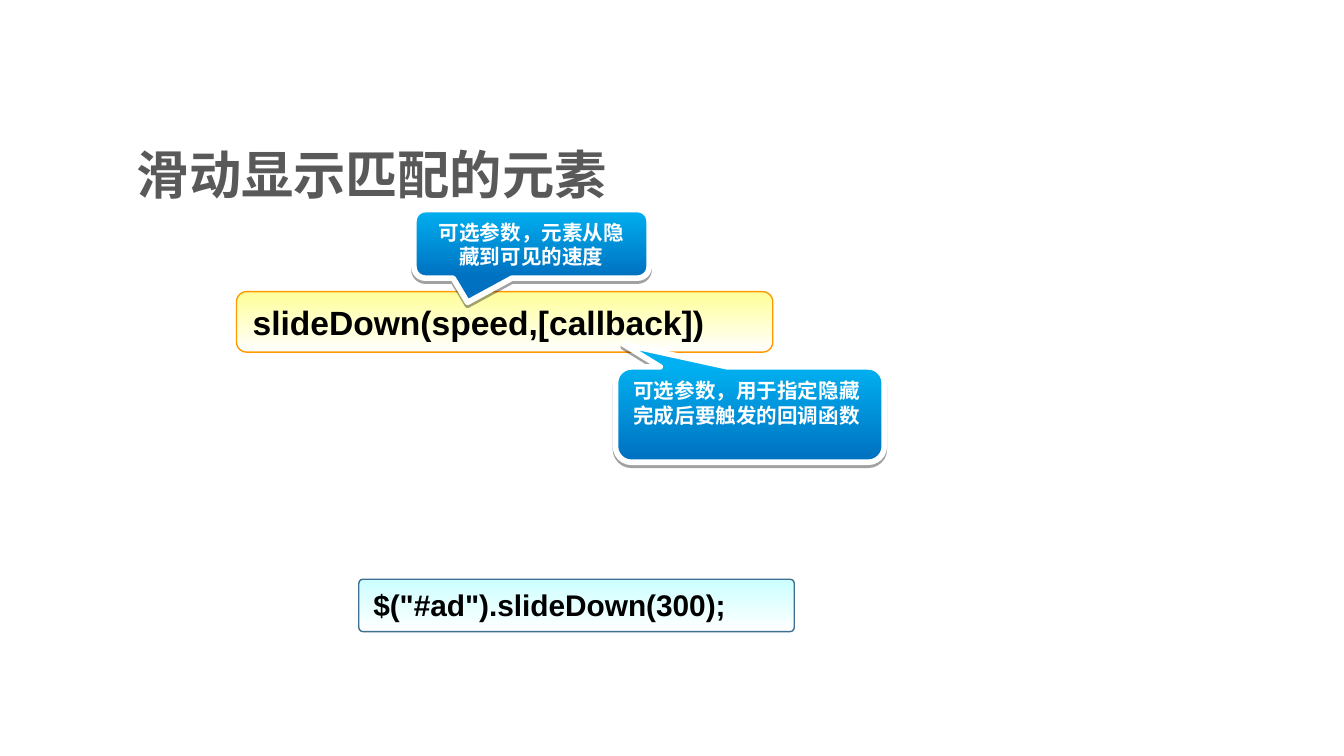
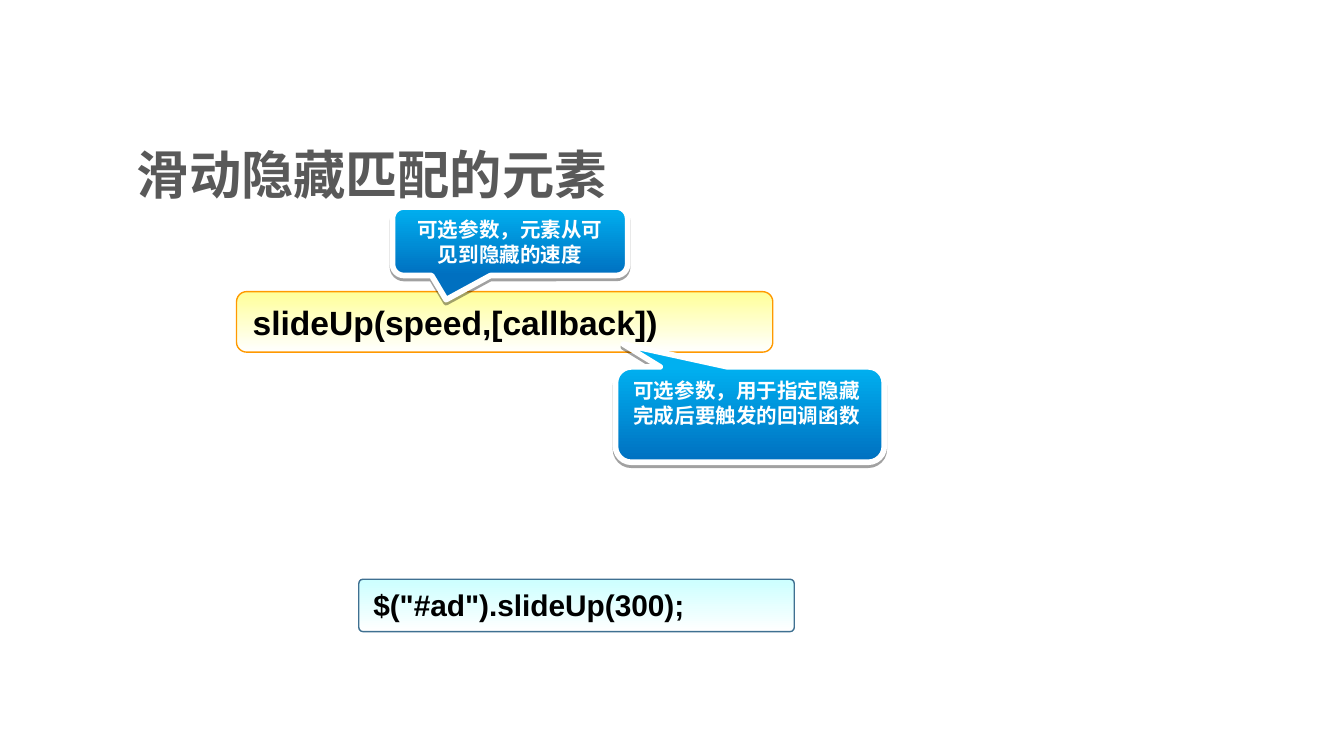
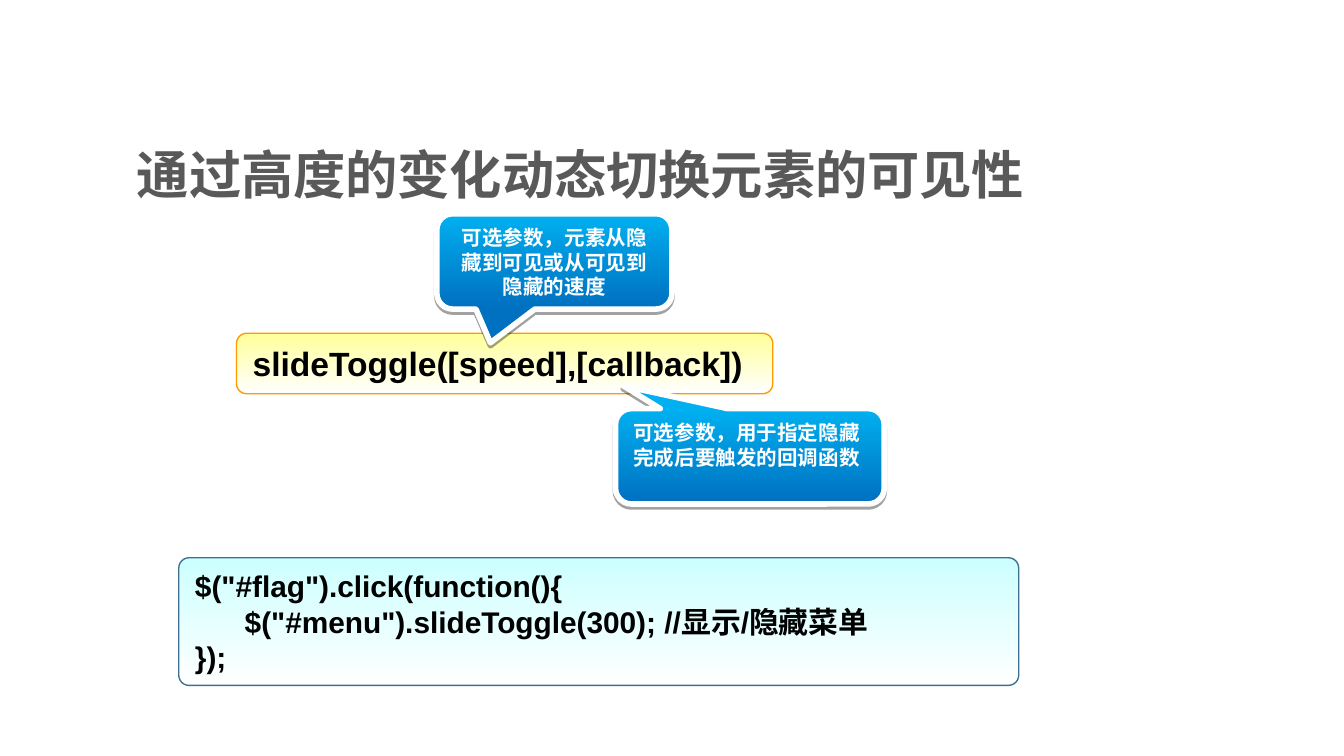
from dataclasses import dataclass

from lxml.etree import SubElement
from pptx import Presentation
from pptx.dml.color import RGBColor
from pptx.enum.shapes import MSO_SHAPE
from pptx.enum.text import MSO_ANCHOR, MSO_AUTO_SIZE, PP_ALIGN
from pptx.oxml.ns import qn
from pptx.util import Inches, Pt


@dataclass(frozen=True)
class Theme:
    latin: str = "Arial"
    chinese: str = "Noto Sans CJK SC"
    title_color: str = "595959"
    code_color: str = "000000"
    note_color: str = "FFFFFF"
    signature_fill: tuple = ("FFFF99", "FFFFFF")
    signature_line: str = "FF9900"
    example_fill: tuple = ("CCFFFF", "FFFFFF")
    example_line: str = "3F7091"
    note_fill: tuple = ("00B0F0", "0070C0")
    note_line: str = "FFFFFF"
    title_size: int = 28
    signature_size: int = 18
    example_size: int = 16
    note_size: int = 11
    thin: float = 0.75
    thick: float = 3


THEME = Theme()
CALLBACK_NOTE = "可选参数，用于指定隐藏完成后要触发的回调函数"
CODE_INDENT = Inches(0.37)


# Text
def write(box, lines, size, color, latin=THEME.latin,
          align=PP_ALIGN.LEFT, anchor=MSO_ANCHOR.TOP):
    """Fill a box with bold lines; a leading tab marks an indented line."""
    frame = box.text_frame
    frame.word_wrap = True
    frame.vertical_anchor = anchor
    for index, line in enumerate(lines):
        para = frame.paragraphs[0] if index == 0 else frame.add_paragraph()
        para.text = line.lstrip("\t")
        para.alignment = align
        para.font.size = Pt(size)
        para.font.bold = True
        para.font.name = latin
        para.font.color.rgb = RGBColor.from_string(color)
        properties = para._p.get_or_add_pPr()
        east_asian = SubElement(properties.get_or_add_defRPr(), qn("a:ea"))
        east_asian.set("typeface", THEME.chinese)
        if line.startswith("\t"):
            properties.set("marL", str(CODE_INDENT))


def add_title(page, title):
    box = page.shapes.add_textbox(
        Inches(0.92), Inches(0.98), Inches(7.17), Inches(0.63))
    write(box, [title], THEME.title_size, THEME.title_color,
          latin=THEME.chinese, anchor=MSO_ANCHOR.MIDDLE)


# Shapes
def add_panel(page, kind, area, adjustments, colors, line, width):
    """Add a shape with a vertical two-colour gradient."""
    panel = page.shapes.add_shape(kind, *map(Inches, area))
    for index, value in enumerate(adjustments):
        panel.adjustments[index] = value
    panel.shadow.inherit = False
    panel.fill.gradient()
    panel.fill.gradient_angle = 270
    for stop, color, position in zip(panel.fill.gradient_stops, colors, (0, 1)):
        stop.color.rgb = RGBColor.from_string(color)
        stop.position = position
    panel.line.color.rgb = RGBColor.from_string(line)
    panel.line.width = Pt(width)
    panel.text_frame.auto_size = MSO_AUTO_SIZE.SHAPE_TO_FIT_TEXT
    return panel


def add_signature(page, top, code):
    panel = add_panel(page, MSO_SHAPE.ROUNDED_RECTANGLE, (1.76, top, 3.99, 0.45),
                      [0.167], THEME.signature_fill, THEME.signature_line, THEME.thin)
    write(panel, [code], THEME.signature_size, THEME.code_color,
          anchor=MSO_ANCHOR.MIDDLE)


def add_example(page, area, lines):
    panel = add_panel(page, MSO_SHAPE.ROUNDED_RECTANGLE, area,
                      [0.081], THEME.example_fill, THEME.example_line, THEME.thin)
    write(panel, lines, THEME.example_size, THEME.code_color)


def add_note(page, area, pointer, text, align=PP_ALIGN.LEFT):
    note = add_panel(page, MSO_SHAPE.ROUNDED_RECTANGULAR_CALLOUT, area,
                     [*pointer, 0.167], THEME.note_fill, THEME.note_line, THEME.thick)
    add_drop_shadow(note)
    write(note, [text], THEME.note_size, THEME.note_color, align=align)


def add_drop_shadow(shape):
    effects = shape._element.spPr.find(qn("a:effectLst"))
    shadow = SubElement(effects, qn("a:outerShdw"), blurRad="0",
                        dist=str(Pt(1.6)), dir="5400000", rotWithShape="0")
    color = SubElement(shadow, qn("a:srgbClr"), val="000000")
    SubElement(color, qn("a:alpha"), val="37000")


# Pages
def add_method_page(deck, title, signature, signature_top,
                    speed_note, speed_area, example, example_area):
    page = deck.slides.add_slide(deck.slide_layouts[6])
    add_title(page, title)
    add_signature(page, signature_top, signature)
    add_note(page, (4.58, signature_top + 0.56, 2, 0.71), (-0.471, -0.739),
             CALLBACK_NOTE)
    add_example(page, example_area, example)
    add_note(page, speed_area, (-0.272, 0.853), speed_note, PP_ALIGN.CENTER)


def main():
    deck = Presentation()
    deck.slide_width = Inches(10)
    deck.slide_height = deck.slide_width * 9 // 16
    short_example = (2.67, 4.31, 3.24, 0.39)

    add_method_page(
        deck, "滑动显示匹配的元素", "slideDown(speed,[callback])", 2.17,
        "可选参数，元素从隐藏到可见的速度", (3.08, 1.56, 1.75, 0.51),
        ['$("#ad").slideDown(300);'], short_example)
    add_method_page(
        deck, "滑动隐藏匹配的元素", "slideUp(speed,[callback])", 2.17,
        "可选参数，元素从可见到隐藏的速度", (2.92, 1.54, 1.75, 0.51),
        ['$("#ad").slideUp(300);'], short_example)
    add_method_page(
        deck, "通过高度的变化动态切换元素的可见性",
        "slideToggle([speed],[callback])", 2.48,
        "可选参数，元素从隐藏到可见或从可见到隐藏的速度", (3.25, 1.59, 1.75, 0.71),
        ['$("#flag").click(function(){',
         '\t$("#menu").slideToggle(300); //显示/隐藏菜单',
         "});"], (1.33, 4.15, 6.25, 0.95))

    deck.save("out.pptx")


if __name__ == "__main__":
    main()
